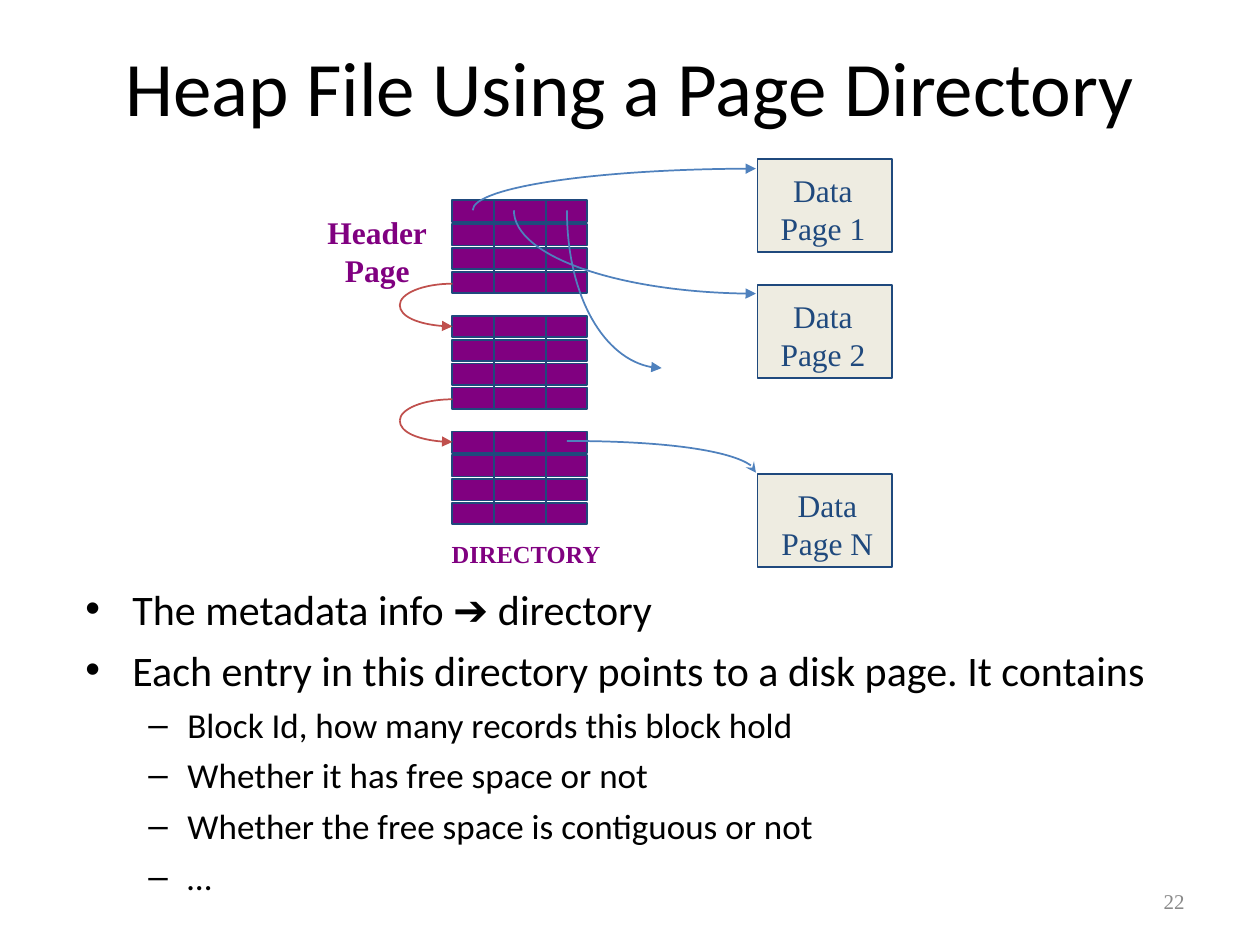
from lxml import etree
from pptx import Presentation
from pptx.dml.color import RGBColor
from pptx.enum import shapes, text
from pptx.oxml import ns
from pptx.util import Cm, Pt

COLORS = {
    "black": "000000",
    "purple": "800080",
    "navy": "1F497D",
    "cream": "EEECE1",
    "red": "C0504D",
    "blue": "4F81BD",
    "gray": "898989",
}
SERIF = "Times New Roman"
SANS = "Calibri"
CURVE = 0.55
PAGE_W, PAGE_H = 2.72, 1.88


def color(name):
    return RGBColor.from_string(COLORS[name])


def set_line(sp, name):
    sp.line.color.rgb = color(name)
    sp.line.width = Pt(1)


def add_run(p, words, font, size, ink, bold=False):
    r = p.add_run()
    r.text = words
    r.font.name = font
    r.font.size = Pt(size)
    r.font.bold = bold
    r.font.color.rgb = color(ink)


def add_box(s, x, y, w, h, wrap=True, anchor=text.MSO_ANCHOR.TOP):
    tf = s.shapes.add_textbox(Cm(x), Cm(y), Cm(w), Cm(h)).text_frame
    tf.word_wrap = wrap
    tf.vertical_anchor = anchor
    return tf


def add_label(s, x, y, w, h, lines, ink, size=18, bold=False):
    tf = add_box(s, x, y, w, h, wrap=False)
    for i, words in enumerate(lines):
        p = tf.add_paragraph() if i else tf.paragraphs[0]
        p.alignment = text.PP_ALIGN.CENTER
        add_run(p, words, SERIF, size, ink, bold)


def add_rect(s, x, y, w, h, fill):
    sp = s.shapes.add_shape(shapes.MSO_SHAPE.RECTANGLE, Cm(x), Cm(y), Cm(w), Cm(h))
    sp.shadow.inherit = False
    sp.fill.solid()
    sp.fill.fore_color.rgb = color(fill)
    set_line(sp, "navy")


def add_arc(s, flat, steep, ink, flat_head=None, steep_head=None):
    (fx, fy), (sx, sy) = flat, steep
    controls = [(fx + CURVE * (sx - fx), fy), (sx, sy + CURVE * (fy - sy)), steep]
    builder = s.shapes.build_freeform(Cm(fx), Cm(fy))
    builder.add_line_segments([(Cm(x), Cm(y)) for x, y in controls], close=False)
    sp = builder.convert_to_shape()
    sp.shadow.inherit = False
    sp.fill.background()
    set_line(sp, ink)
    segments = list(sp._element.iter(ns.qn("a:lnTo")))
    bezier = etree.SubElement(segments[0].getparent(), ns.qn("a:cubicBezTo"))
    for segment in segments:
        bezier.append(segment[0])
        segment.getparent().remove(segment)
    ln = sp.line._get_or_add_ln()
    for tag, head in (("a:headEnd", flat_head), ("a:tailEnd", steep_head)):
        if head:
            etree.SubElement(ln, ns.qn(tag), type=head)


def add_directory_page(s, x, y):
    for row in range(4):
        add_rect(s, x, y + 0.02 + row * 0.48, PAGE_W, 0.43, "purple")
    for dx in (0.84, 1.88):
        line = s.shapes.add_connector(
            shapes.MSO_CONNECTOR.STRAIGHT, Cm(x + dx), Cm(y), Cm(x + dx), Cm(y + 1.9))
        set_line(line, "navy")
        etree.SubElement(line._element.spPr, ns.qn("a:effectLst"))


def add_next_loop(s, x, y):
    middle = (x - 1.06, y + 0.43)
    add_arc(s, (x, y), middle, "red")
    add_arc(s, (x, y + 0.86), middle, "red", flat_head="triangle")


def add_data_page(s, x, y, name, label_x, label_w):
    add_rect(s, x, y, PAGE_W, PAGE_H, "cream")
    add_label(s, x + label_x, y + 0.13, label_w, 1.78, ["Data", f"Page {name}"], "navy")


def add_diagram(s, x, y):
    left, tops = x + 2.77, [y + 0.82 + i * 2.33 for i in range(3)]
    for top in tops:
        add_directory_page(s, left, top)
    for dy, name, label_x, label_w in (
            (0, "1", 0.2, 2.24), (2.54, "2", 0.2, 2.24), (6.35, "N", 0.23, 2.36)):
        add_data_page(s, x + 8.92, y + dy, name, label_x, label_w)
    add_label(s, x, y + 0.97, 2.51, 1.78, ["Header", "Page"], "purple", bold=True)
    add_label(s, x + 2.49, y + 7.54, 3.53, 0.84, ["DIRECTORY"], "purple", 14, True)
    for top in tops[:-1]:
        add_next_loop(s, left, top + 1.7)
    for (fx, fy), entry_x in (
            ((8.89, 0.2), 3.18), ((8.89, 2.72), 4.01), ((6.99, 4.22), 5.08)):
        add_arc(s, (x + fx, y + fy), (x + entry_x, y + 1.04), "blue", flat_head="triangle")
    add_arc(s, (x + 5.08, y + 5.69), (x + 8.89, y + 6.33), "blue", steep_head="stealth")


def add_title(s, x, y, w, h):
    p = add_box(s, x, y, w, h, anchor=text.MSO_ANCHOR.MIDDLE).paragraphs[0]
    p.alignment = text.PP_ALIGN.CENTER
    add_run(p, "Heap File Using a Page Directory", SANS, 44, "black")


def set_bullet(p, char, margin, hang):
    pPr = p._p.get_or_add_pPr()
    pPr.set("marL", str(Cm(margin)))
    pPr.set("indent", str(-Cm(hang)))
    clr = etree.SubElement(pPr, ns.qn("a:buClr"))
    etree.SubElement(clr, ns.qn("a:srgbClr"), val=COLORS["black"])
    etree.SubElement(pPr, ns.qn("a:buFont"), typeface="Arial")
    etree.SubElement(pPr, ns.qn("a:buChar"), char=char)


def add_body(s, x, y, w, h):
    levels = [("•", 0.95, 0.95, 24, 6), ("–", 2.06, 0.79, 20, 5)]
    items = [
        (0, [("The metadata info ", SANS), ("➔", "Arial"), (" directory", SANS)]),
        (0, [("Each entry in this directory points to a disk page. It contains", SANS)]),
        (1, [("Block Id, how many records this block hold", SANS)]),
        (1, [("Whether it has free space or not", SANS)]),
        (1, [("Whether the free space is contiguous or not", SANS)]),
        (1, [("…", SANS)]),
    ]
    tf = add_box(s, x, y, w, h)
    for i, (level, runs) in enumerate(items):
        char, margin, hang, size, gap = levels[level]
        p = tf.add_paragraph() if i else tf.paragraphs[0]
        p.level = level
        set_bullet(p, char, margin, hang)
        if i:
            p.space_before = Pt(gap)
        for words, font in runs:
            add_run(p, words, font, size, "black")


def add_slide_number(s, x, y, w, h):
    p = add_box(s, x, y, w, h, anchor=text.MSO_ANCHOR.MIDDLE).paragraphs[0]
    p.alignment = text.PP_ALIGN.RIGHT
    add_run(p, "22", SERIF, 12, "gray")


def main():
    prs = Presentation()
    prs.slide_width, prs.slide_height = Cm(25.4), Cm(19.05)
    s = prs.slides.add_slide(prs.slide_layouts[6])
    add_title(s, 1.9, 0.2, 21.6, 3.07)
    add_body(s, 1.47, 11.63, 22.23, 6.98)
    add_diagram(s, 6.35, 3.2)
    add_slide_number(s, 18.2, 17.65, 5.93, 1.02)
    prs.save("out.pptx")


if __name__ == "__main__":
    main()
